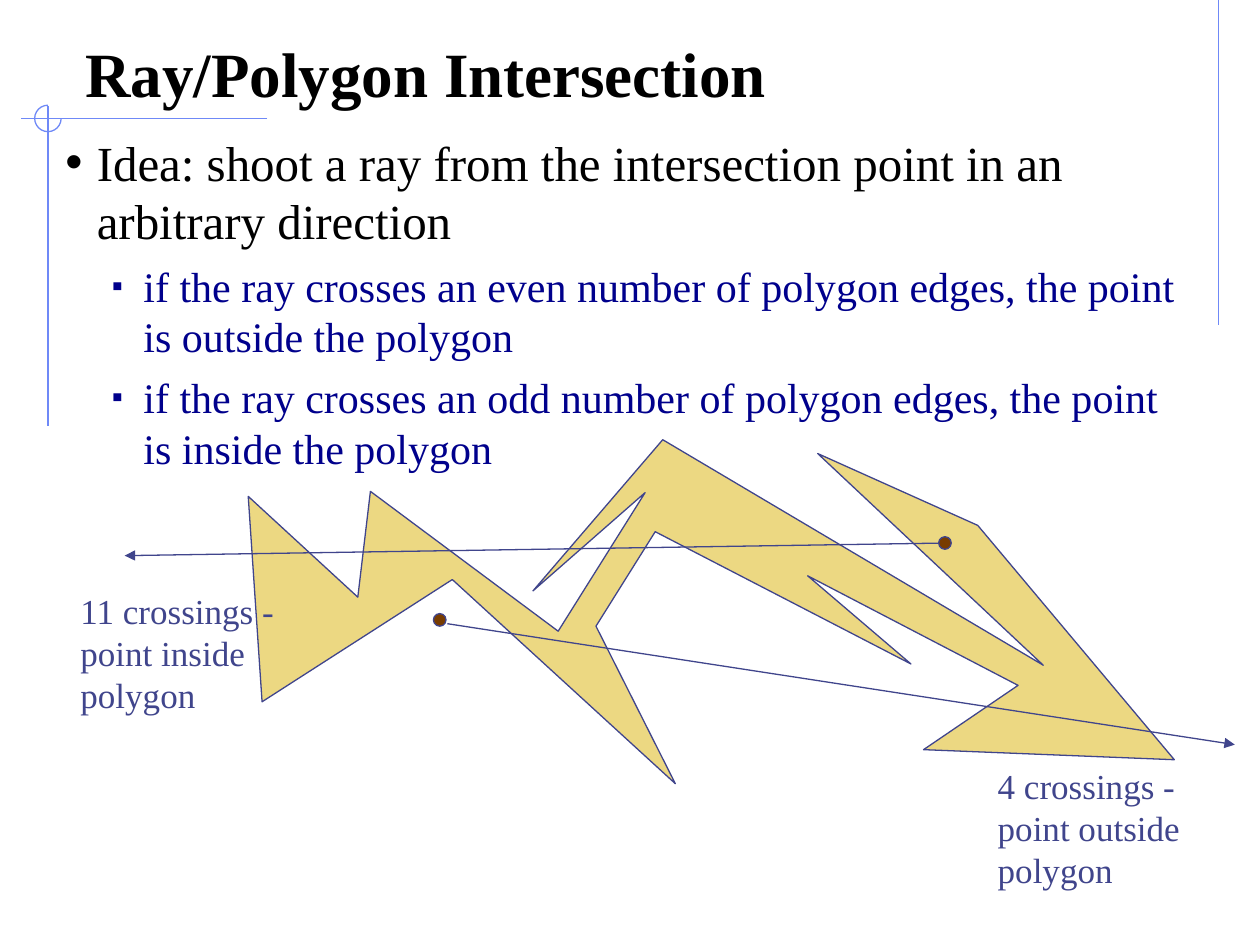
from lxml import etree
from pptx import Presentation
from pptx.dml.color import RGBColor
from pptx.enum import shapes, text
from pptx.oxml import ns
from pptx.util import Inches, Pt

BLACK = RGBColor(0x00, 0x00, 0x00)
NAVY = RGBColor(0x00, 0x00, 0x8C)
SLATE = RGBColor(0x40, 0x45, 0x8C)
SKY = RGBColor(0x6F, 0x89, 0xF7)
SAND = RGBColor(0xEC, 0xD8, 0x82)
BROWN = RGBColor(0x78, 0x3C, 0x00)

TITLE = dict(name="Times New Roman", size=Pt(36), bold=True)
IDEA = dict(name="Times New Roman", size=Pt(28))
CASE = dict(name="Times New Roman", size=Pt(24))
LABEL = dict(name="Times New Roman", size=Pt(20))

OUTLINE = [
    (1.97, 3.94), (2.08, 5.57), (3.59, 4.6), (5.36, 6.22), (4.73, 4.97),
    (5.2, 4.22), (7.23, 5.27), (6.41, 4.57), (8.08, 5.44), (7.33, 5.95),
    (9.32, 6.03), (7.76, 4.17), (6.49, 3.6), (8.28, 5.28), (5.26, 3.49),
    (4.23, 4.69), (5.12, 3.91), (4.43, 5.01), (2.94, 3.9), (2.84, 4.74),
]
CASES = [
    "if the ray crosses an even number of polygon edges, the point is outside the polygon",
    "if the ray crosses an odd number of polygon edges, the point is inside the polygon",
]


def add(parent, tag, **attrs):
    return etree.SubElement(parent, ns.qn(tag), attrs)


class Board:
    def __init__(self, slide):
        self.slide = slide
        self.shapes = slide.shapes
        self.width = Pt(0.75)

    def stroke(self, item, color):
        item.line.color.rgb = color
        item.line.width = self.width

    def line(self, start, end, color, arrow=False):
        ends = [Inches(v) for v in (*start, *end)]
        item = self.shapes.add_connector(shapes.MSO_CONNECTOR.STRAIGHT, *ends)
        self.stroke(item, color)
        if arrow:
            add(item.line._get_or_add_ln(), "a:tailEnd", type="triangle")
        add(item._element.spPr, "a:effectLst")

    def round(self, kind, center, size, color, fill=None):
        """Draw a circle or arc around its center."""
        x, y = (Inches(v - size / 2) for v in center)
        item = self.shapes.add_shape(kind, x, y, Inches(size), Inches(size))
        item.shadow.inherit = False
        self.stroke(item, color)
        if fill is None:
            item.fill.background()
        else:
            item.fill.solid()
            item.fill.fore_color.rgb = fill
        return item

    def shape(self, points, fill, color):
        first, *rest = [(Inches(x), Inches(y)) for x, y in points]
        pen = self.shapes.build_freeform(*first)
        pen.add_line_segments(rest, close=True)
        item = pen.convert_to_shape()
        item.shadow.inherit = False
        item.fill.solid()
        item.fill.fore_color.rgb = fill
        self.stroke(item, color)

    def box(self, at, wrap=True, anchor=text.MSO_ANCHOR.TOP):
        frame = self.shapes.add_textbox(*map(Inches, at)).text_frame
        frame.word_wrap = wrap
        frame.vertical_anchor = anchor
        return frame

    def put(self, para, words, style, color):
        para.text = words
        for key, value in style.items():
            setattr(para.font, key, value)
        para.font.color.rgb = color

    def bullet(self, para, mark, left, color, size=100):
        props = para._p.get_or_add_pPr()
        props.set("marL", str(Inches(left)))
        props.set("indent", str(Inches(-0.25)))
        add(add(props, "a:buClr"), "a:srgbClr", val=str(color))
        add(props, "a:buSzPct", val=str(size * 1000))
        add(props, "a:buFont", typeface="Arial")
        add(props, "a:buChar", char=mark)

    def label(self, at, lines):
        frame = self.box(at, wrap=False)
        for i, words in enumerate(lines):
            para = frame.add_paragraph() if i else frame.paragraphs[0]
            self.put(para, words, LABEL, SLATE)


def main():
    deck = Presentation()
    deck.slide_width, deck.slide_height = Inches(10), Inches(7.5)
    board = Board(deck.slides.add_slide(deck.slide_layouts[6]))

    board.line((9.67, 0), (9.67, 2.58), SKY)
    board.line((2.12, 0.94), (0.17, 0.94), SKY)
    board.line((0.38, 0.84), (0.38, 3.38), SKY)
    arc = board.round(shapes.MSO_SHAPE.ARC, (0.38, 0.94), 0.21, SKY)
    arc.adjustments[0], arc.adjustments[1] = 0, 162  # right, clockwise to top

    title = board.box((0.58, 0.25, 8.83, 0.67), anchor=text.MSO_ANCHOR.BOTTOM)
    board.put(title.paragraphs[0], "Ray/Polygon Intersection", TITLE, BLACK)

    body = board.box((0.42, 1, 9.17, 3.04))
    idea = body.paragraphs[0]
    board.bullet(idea, "•", 0.25, BLACK)
    board.put(idea, "Idea: shoot a ray from the intersection point in an arbitrary direction",
              IDEA, BLACK)
    for words in CASES:
        para = body.add_paragraph()
        para.level = 1
        para.space_before = Pt(6)
        board.bullet(para, "▪", 0.62, NAVY, 75)
        board.put(para, words, CASE, NAVY)

    board.shape(OUTLINE, SAND, SLATE)
    board.line((3.55, 4.95), (9.8, 5.91), SLATE, arrow=True)
    board.line((7.5, 4.31), (0.99, 4.41), SLATE, arrow=True)
    for center in ((7.5, 4.31), (3.49, 4.92)):
        board.round(shapes.MSO_SHAPE.OVAL, center, 0.1, SLATE, BROWN)

    board.label((7.82, 6.02, 1.71, 1.1), ["4 crossings -", "point outside", "polygon"])
    board.label((0.54, 4.63, 1.81, 1.1), ["11 crossings -", "point inside", "polygon"])

    deck.save("out.pptx")


if __name__ == "__main__":
    main()
